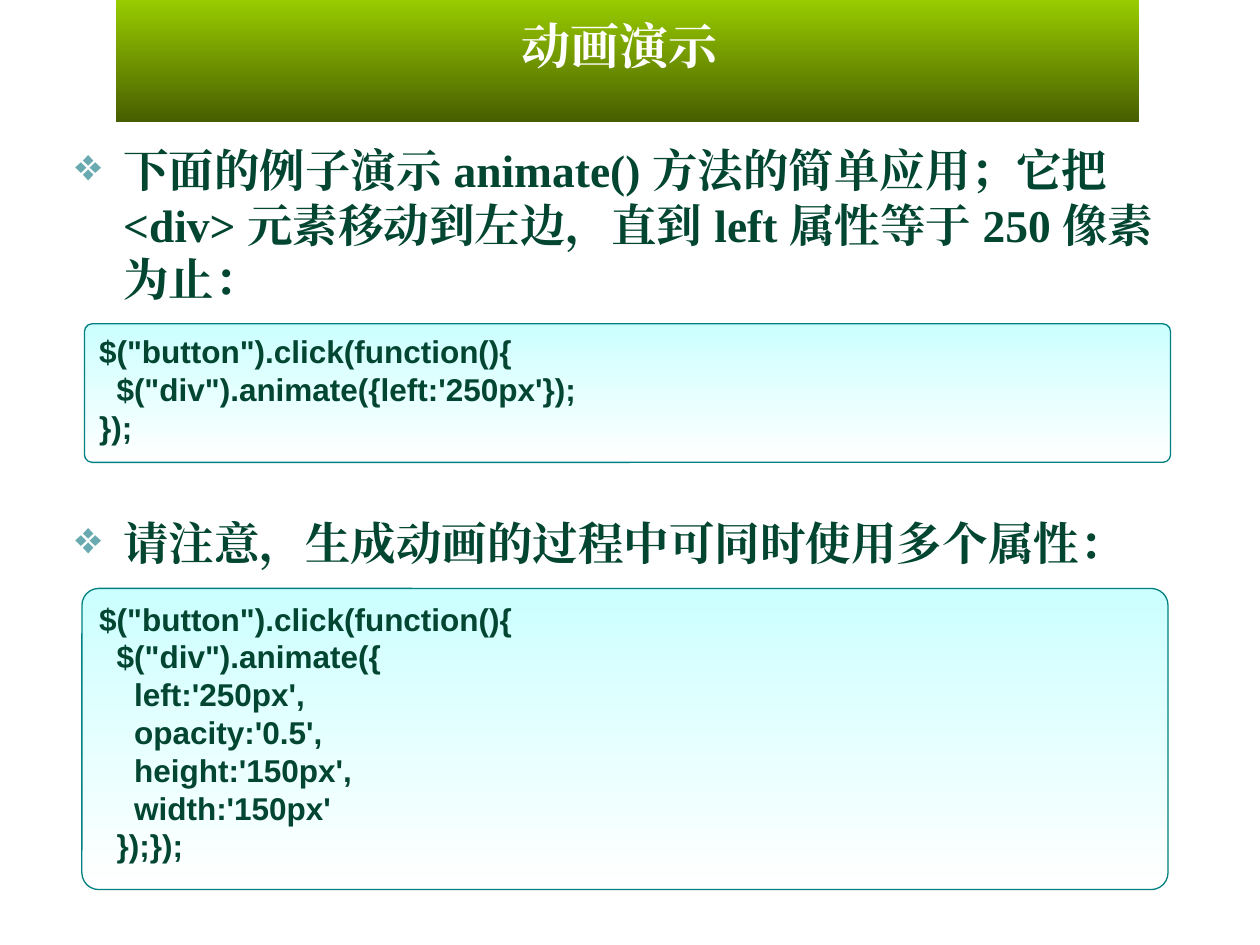
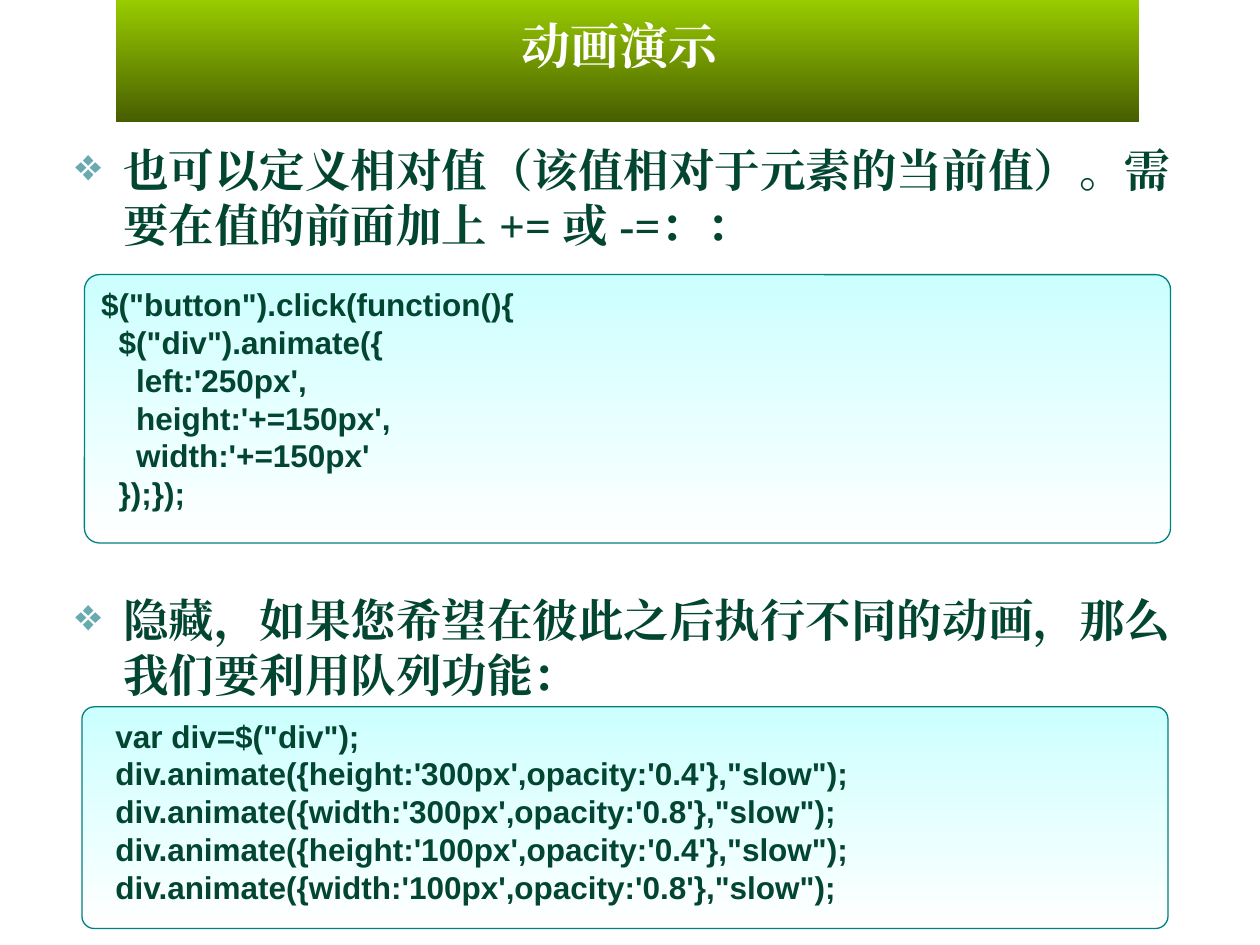
from lxml import etree
from pptx import Presentation
from pptx import util as u
from pptx.dml.color import RGBColor
from pptx.enum import shapes, text
from pptx.oxml import ns

WHITE = RGBColor(0xFF, 0xFF, 0xFF)
LIME = RGBColor(0x99, 0xCC, 0x00)
OLIVE = RGBColor(0x47, 0x5E, 0x00)
INK = RGBColor(0x02, 0x46, 0x31)
TEAL = RGBColor(0x00, 0x80, 0x80)
ICE = RGBColor(0xCC, 0xFF, 0xFF)
BULLET = RGBColor(0x69, 0xAA, 0xB1)

SERIF = "Times New Roman"
SANS = "Arial"
TITLE = "动画演示"
BAND_BOX = (0.92, 0, 8.12, 0.97)
TITLE_BOX = (0.33, 0.05, 9.17, 0.62)
STATEMENT_LEFT, STATEMENT_WIDTH = 0.5, 9
CODE_WIDTH = 8.62

SLIDES = [
    [
        ((1.08, 1.4), "下面的例子演示 animate() 方法的简单应用；它把 <div> 元素移动到左边，直到 left 属性等于 250 像素为止：",
         (0.67, 2.57, 1.1), """$("button").click(function(){
  $("div").animate({left:'250px'});
});"""),
        ((4.04, 0.55), "请注意，生成动画的过程中可同时使用多个属性：",
         (0.65, 4.67, 2.39), """$("button").click(function(){
  $("div").animate({
    left:'250px',
    opacity:'0.5',
    height:'150px',
    width:'150px'
  });});"""),
    ],
    [
        ((1.08, 1), "也可以定义相对值（该值相对于元素的当前值）。需要在值的前面加上 += 或 -=：：",
         (0.67, 2.18, 2.13), """$("button").click(function(){
  $("div").animate({
    left:'250px',
    height:'+=150px',
    width:'+=150px'
  });});"""),
        ((4.65, 1), "隐藏，如果您希望在彼此之后执行不同的动画，那么我们要利用队列功能：",
         (0.65, 5.61, 1.76), """  var div=$("div");
  div.animate({height:'300px',opacity:'0.4'},"slow");
  div.animate({width:'300px',opacity:'0.8'},"slow");
  div.animate({height:'100px',opacity:'0.4'},"slow");
  div.animate({width:'100px',opacity:'0.8'},"slow");"""),
    ],
]


def inches(box):
    return [u.Inches(length) for length in box]


def add_child(parent, tag, **attributes):
    return etree.SubElement(parent, ns.qn(tag), **attributes)


def format_runs(para, font, size, color):
    for span in para.runs:
        span.font.name = font
        span.font.size = u.Pt(size)
        span.font.bold = True
        span.font.color.rgb = color
        add_child(span._r.get_or_add_rPr(), "a:ea", typeface=font)


def set_indent(para, indent):
    properties = para._p.get_or_add_pPr()
    properties.set("marL", str(u.Inches(indent)))
    properties.set("indent", str(-u.Inches(indent)))
    return properties


def fill_downward(shape, top_color, bottom_color):
    shape.fill.gradient()
    shape.fill.gradient_angle = 270
    for stop, color, position in zip(shape.fill.gradient_stops, (top_color, bottom_color), (0, 1)):
        stop.color.rgb = color
        stop.position = position


def curve_points(start, first, second, end, steps=40):
    for step in range(1, steps + 1):
        t = step / steps
        s = 1 - t
        yield tuple(s**3 * a + 3 * s * s * t * b + 3 * s * t * t * c + t**3 * d
                    for a, b, c, d in zip(start, first, second, end))


def add_band(page, box):
    band = page.shapes.add_shape(shapes.MSO_SHAPE.RECTANGLE, *inches(box))
    fill_downward(band, LIME, OLIVE)
    left, top = box[:2]

    def place(x, y):
        return left + x, top + y

    crest, right_end, left_end = place(4.17, 0.68), place(8.27, 1.01), place(-0.25, 1.04)
    outline = [
        *curve_points(crest, place(7.23, 0.69), place(8.27, 0.99), right_end),
        left_end,
        *curve_points(left_end, place(0.18, 0.93), place(1.12, 0.67), crest),
    ]
    builder = page.shapes.build_freeform(*crest, scale=u.Inches(1))
    builder.add_line_segments(outline, close=True)
    arch = builder.convert_to_shape()
    arch.fill.solid()
    arch.fill.fore_color.rgb = WHITE
    for shape in (band, arch):
        shape.line.fill.background()
        shape.shadow.inherit = False


def add_title(page, box):
    title = page.shapes.title
    page.shapes._spTree.append(title._element)
    title.left, title.top, title.width, title.height = inches(box)
    frame = title.text_frame
    frame.text = TITLE
    frame.vertical_anchor = text.MSO_ANCHOR.MIDDLE
    para = frame.paragraphs[0]
    para.alignment = text.PP_ALIGN.CENTER
    format_runs(para, SERIF, 28, WHITE)


def add_statement(page, box, words):
    frame = page.shapes.add_textbox(*inches(box)).text_frame
    frame.word_wrap = True
    frame.text = words
    para = frame.paragraphs[0]
    properties = set_indent(para, 0.38)
    add_child(add_child(properties, "a:buClr"), "a:srgbClr", val=str(BULLET))
    add_child(properties, "a:buChar", char="❖")
    format_runs(para, SERIF, 26, INK)


def add_code(page, box, code):
    panel = page.shapes.add_shape(shapes.MSO_SHAPE.ROUNDED_RECTANGLE, *inches(box))
    panel.adjustments[0] = 0.056
    panel.shadow.inherit = False
    fill_downward(panel, ICE, WHITE)
    panel.line.color.rgb = TEAL
    panel.line.width = u.Pt(0.75)
    frame = panel.text_frame
    frame.word_wrap = True
    frame.vertical_anchor = text.MSO_ANCHOR.TOP
    frame.text = code
    for para in frame.paragraphs:
        para.alignment = text.PP_ALIGN.LEFT
        set_indent(para, 0.24)
        format_runs(para, SANS, 18, INK)


def add_page(deck, examples):
    page = deck.slides.add_slide(deck.slide_layouts[5])
    add_band(page, BAND_BOX)
    add_title(page, TITLE_BOX)
    for (top, height), words, (code_left, code_top, code_height), code in examples:
        add_statement(page, (STATEMENT_LEFT, top, STATEMENT_WIDTH, height), words)
        add_code(page, (code_left, code_top, CODE_WIDTH, code_height), code)


def main():
    deck = Presentation()
    deck.slide_width, deck.slide_height = inches((10, 7.5))
    for examples in SLIDES:
        add_page(deck, examples)
    deck.save("out.pptx")


if __name__ == "__main__":
    main()
